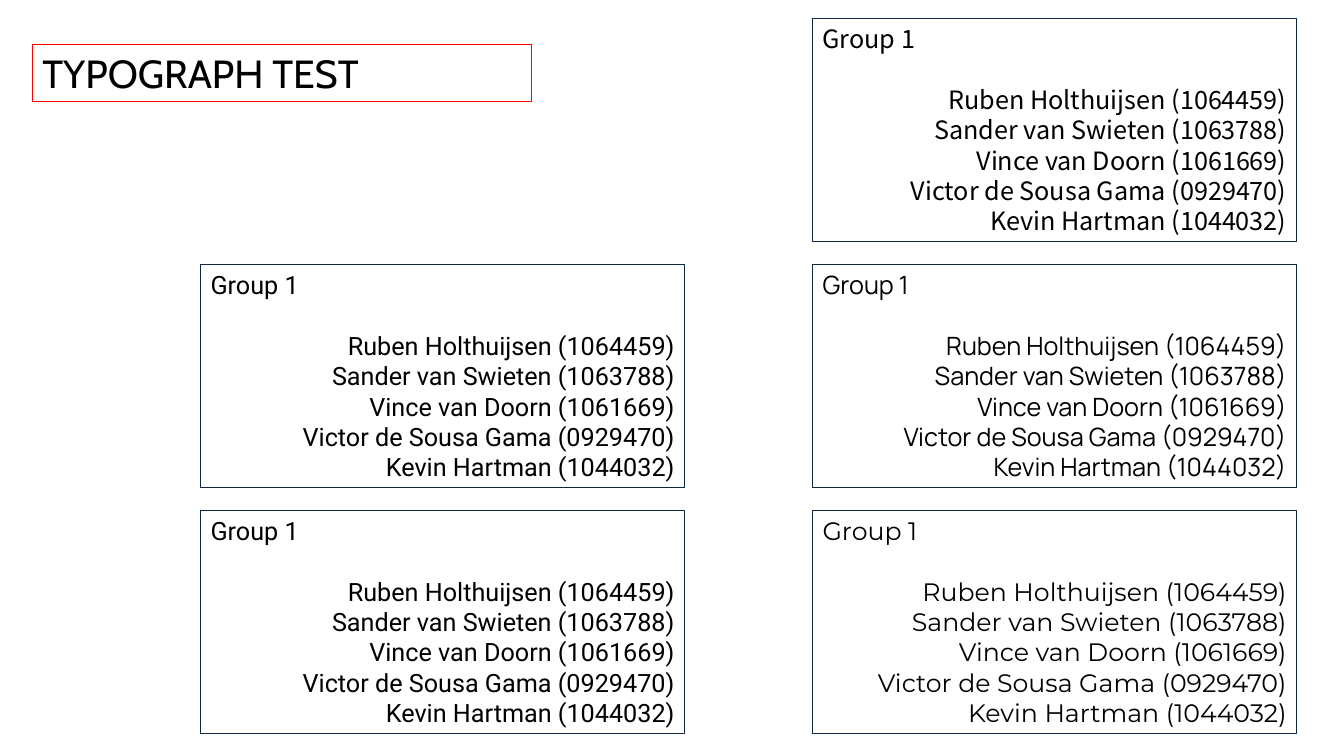
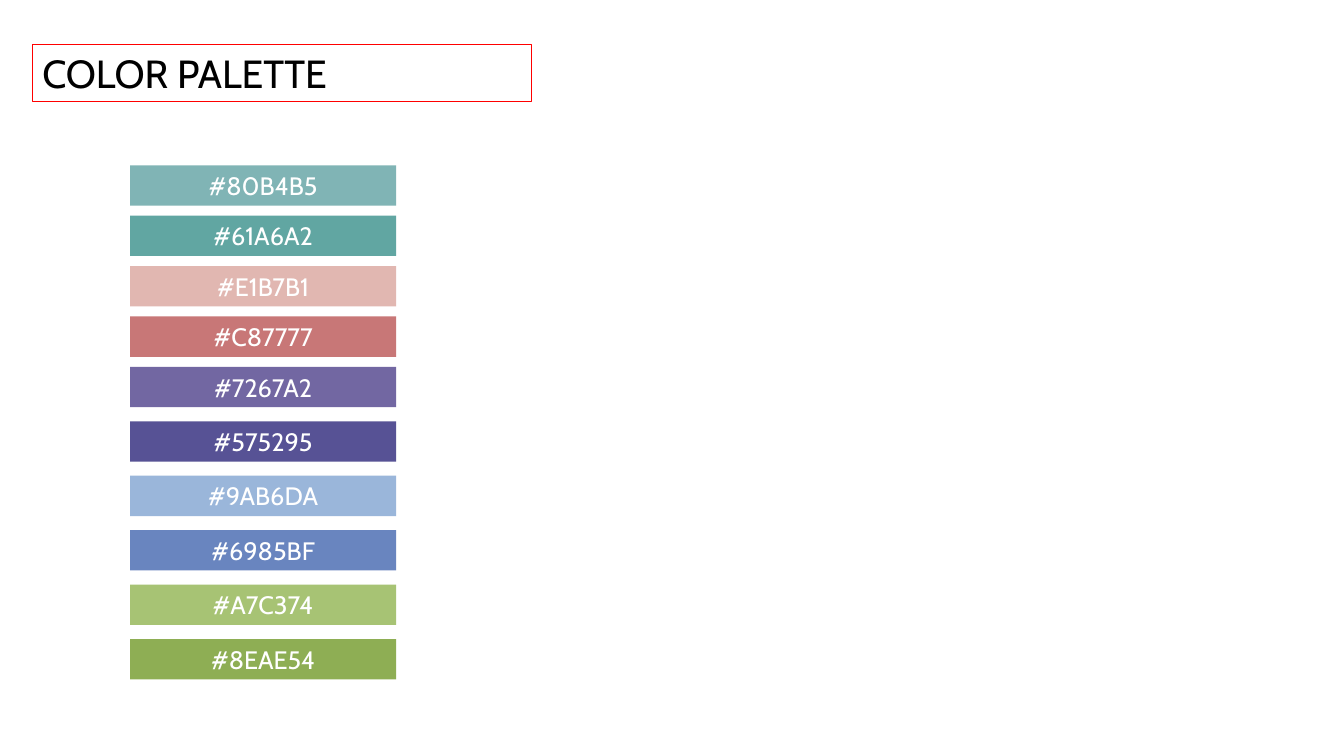
from dataclasses import dataclass

from pptx import Presentation
from pptx import util as u
from pptx.dml.color import RGBColor
from pptx.enum import shapes, text


@dataclass(frozen=True)
class Theme:
    ink: str = "000000"
    paper: str = "FFFFFF"
    navy: str = "0E2841"
    red: str = "FF0000"
    font: str = "Cabin"
    head: int = 28
    body: int = 18
    lead: float = 21.7  # fixed line pitch of the sample cards
    rule: float = 0.75


T = Theme()

TEAM = [
    "Ruben Holthuijsen (1064459)",
    "Sander van Swieten (1063788)",
    "Vince van Doorn (1061669)",
    "Victor de Sousa Gama (0929470)",
    "Kevin Hartman (1044032)",
]

# Sample cards: font, column, row
CARDS = [
    ("Noto Sans CJK JP", 1, 0),
    ("Manrope", 1, 1),
    ("Montserrat", 1, 2),
    ("Roboto", 0, 2),
    ("Roboto", 0, 1),
]

TONES = ["80B4B5", "61A6A2", "E1B7B1", "C87777", "7267A2",
         "575295", "9AB6DA", "6985BF", "A7C374", "8EAE54"]


def apply(item, **vals):
    """Set each named format value on the item."""
    for key, val in vals.items():
        setattr(item, key, val)


def place(shape, left, top, width, height):
    apply(shape, left=u.Inches(left), top=u.Inches(top),
          width=u.Inches(width), height=u.Inches(height))


def edge(shape, tone):
    shape.line.color.rgb = RGBColor.from_string(tone)
    shape.line.width = u.Pt(T.rule)


def frame(shape, anchor):
    apply(shape.text_frame, word_wrap=True, vertical_anchor=anchor,
          auto_size=text.MSO_AUTO_SIZE.NONE,
          margin_left=u.Inches(0.1), margin_right=u.Inches(0.1),
          margin_top=u.Inches(0.05), margin_bottom=u.Inches(0.05))


def write(para, words, size, tone=T.ink, font=T.font, **form):
    """Fill one paragraph and format it."""
    run = para.add_run()
    run.text = words
    apply(run.font, name=font, size=u.Pt(size))
    run.font.color.rgb = RGBColor.from_string(tone)
    apply(para, **form)


def title(slide, words):
    shape = slide.shapes.title
    place(shape, 0.32, 0.44, 4.95, 0.57)
    edge(shape, T.red)
    frame(shape, text.MSO_ANCHOR.TOP)
    write(shape.text_frame.paragraphs[0], words, T.head,
          alignment=text.PP_ALIGN.LEFT)


def block(slide, *area):
    """Add a plain box without shadow, fill or line."""
    shape = slide.shapes.add_shape(shapes.MSO_SHAPE.RECTANGLE, 0, 0, 0, 0)
    place(shape, *area)
    shape.shadow.inherit = False
    shape.fill.background()
    shape.line.fill.background()
    return shape


def card(slide, font, col, row):
    """Show the group list in one font."""
    shape = block(slide, 1.99 + 6.07 * col, 0.18 + 2.44 * row, 4.8, 2.22)
    edge(shape, T.navy)
    frame(shape, text.MSO_ANCHOR.TOP)
    body = shape.text_frame
    pitch = u.Pt(T.lead)
    write(body.paragraphs[0], "Group 1", T.body, font=font,
          alignment=text.PP_ALIGN.LEFT, line_spacing=pitch)
    for i, name in enumerate(TEAM):
        write(body.add_paragraph(), name, T.body, font=font,
              alignment=text.PP_ALIGN.RIGHT, line_spacing=pitch,
              space_before=u.Pt(0 if i else T.lead))


def swatch(slide, tone, top):
    """Show one colour with its code."""
    shape = block(slide, 1.29, top, 2.64, 0.4)
    shape.fill.solid()
    shape.fill.fore_color.rgb = RGBColor.from_string(tone)
    frame(shape, text.MSO_ANCHOR.TOP)
    write(shape.text_frame.paragraphs[0], f"#{tone}", T.body, T.paper,
          alignment=text.PP_ALIGN.CENTER)


def main():
    deck = Presentation()
    apply(deck, slide_width=u.Inches(13.33), slide_height=u.Inches(7.5))
    plain = deck.slide_layouts[5]

    # Font samples
    slide = deck.slides.add_slide(plain)
    title(slide, "TYPOGRAPH TEST")
    for font, col, row in CARDS:
        card(slide, font, col, row)

    # Colour swatches: the lower five are spaced a little wider
    slide = deck.slides.add_slide(plain)
    title(slide, "COLOR PALETTE")
    top = 1.64
    for i, tone in enumerate(TONES):
        swatch(slide, tone, top)
        top += 0.5 if i < 4 else 0.54

    deck.save("out.pptx")


if __name__ == "__main__":
    main()
